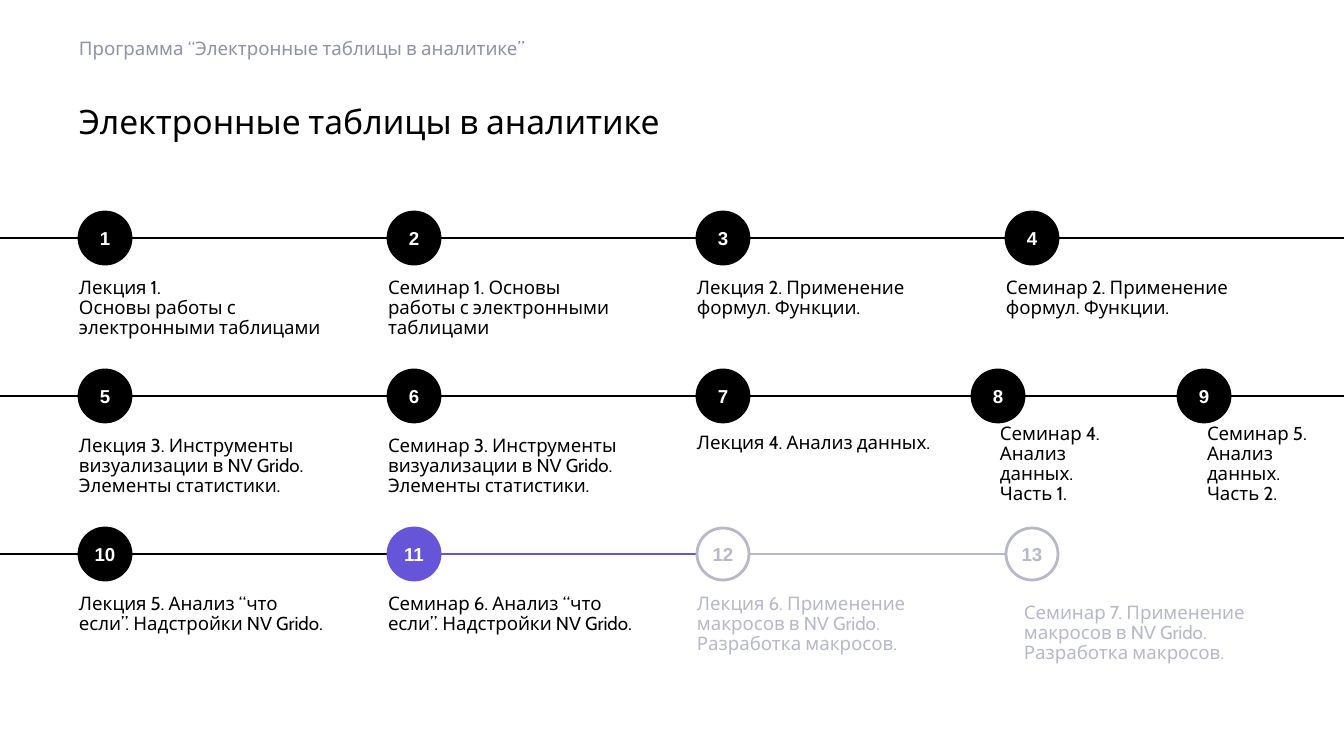
from collections import namedtuple
from dataclasses import dataclass

from pptx import Presentation
from pptx.dml.color import RGBColor as Rgb
from pptx.enum.shapes import MSO_CONNECTOR as Connector, MSO_SHAPE as Preset
from pptx.enum.text import MSO_ANCHOR as Anchor, PP_ALIGN as Align
from pptx.oxml.ns import qn
from pptx.util import Emu, Pt


@dataclass(frozen=True)
class Theme:
    """Colours, fonts and type sizes of the slide."""
    ink: str = "000000"
    paper: str = "FFFFFF"
    accent: str = "6654D9"
    pending: str = "B7B9C8"
    muted: str = "8F93A3"
    text_font: str = "Cabin"
    number_font: str = "Arial"
    body: float = 10
    title: float = 18
    rule: float = 1.5
    leading: float = 0.9


THEME = Theme()
State = namedtuple("State", "fill outline number caption")
DONE = State(THEME.ink, THEME.ink, THEME.paper, THEME.ink)
CURRENT = State(THEME.accent, THEME.accent, THEME.paper, THEME.ink)
PENDING = State(THEME.paper, THEME.pending, THEME.pending, THEME.pending)

Step = namedtuple("Step", "caption state left shift width",
                  defaults=(DONE, None, (0, 0), 257))

WIDTH, HEIGHT = 1344, 756
LEFT, COLUMN_PITCH = 79, 309
TOP, ROW_PITCH = 212, 158
NODE, CAPTION_DROP, CAPTION_HEIGHT = 52, 53, 95
PAD = 13

ROWS = [
    [Step("Лекция 1.\vОсновы работы с электронными таблицами"),
     Step("Семинар 1. Основы работы с электронными таблицами"),
     Step("Лекция 2. Применение формул. Функции."),
     Step("Семинар 2. Применение формул. Функции.")],
    [Step("Лекция 3. Инструменты визуализации в NV Grido. Элементы статистики."),
     Step("Семинар 3. Инструменты визуализации в NV Grido. Элементы статистики."),
     Step("Лекция 4. Анализ данных."),
     Step("Семинар 4. Анализ данных. Часть 1.", left=972, shift=(28, -12), width=133),
     Step("Семинар 5. Анализ данных. Часть 2.", left=1178, shift=(29, -12), width=117)],
    [Step("Лекция 5. Анализ “что если”. Надстройки NV Grido."),
     Step("Семинар 6. Анализ “что если”. Надстройки NV Grido.", CURRENT),
     Step("Лекция 6. Применение макросов в NV Grido. Разработка макросов.", PENDING),
     Step("Семинар 7. Применение макросов в NV Grido. Разработка макросов.",
          PENDING, shift=(18, 9))],
]
OPEN_ENDED_ROWS = (0, 1)


def px(length):
    """Turn slide pixels into EMU."""
    return Emu(round(length * 914400 / 134.4))


def apply_format(target, **values):
    """Set each named attribute on the target."""
    for name, value in values.items():
        setattr(target, name, value)


def write_text(shape, text, color, size, font, bold=False, insets=(0, 0, 0, 0),
               anchor=Anchor.TOP, align=Align.LEFT, leading=1.0):
    """Fill a shape with one formatted paragraph."""
    left, top, right, bottom = map(px, insets)
    frame = shape.text_frame
    apply_format(frame, text=text, word_wrap=True, vertical_anchor=anchor,
                 margin_left=left, margin_top=top,
                 margin_right=right, margin_bottom=bottom)
    paragraph = frame.paragraphs[0]
    apply_format(paragraph, alignment=align, line_spacing=leading)
    for run in paragraph.runs:
        apply_format(run.font, name=font, size=Pt(size), bold=bold)
        run.font.color.rgb = Rgb.from_string(color)


def add_label(slide, text, box, color=THEME.ink, size=THEME.body, **layout):
    """Add a text box in the text font."""
    label = slide.shapes.add_textbox(*map(px, box))
    write_text(label, text, color, size, THEME.text_font,
               leading=THEME.leading, **layout)


def add_node(slide, number, left, top, state):
    """Add a numbered circle of the timeline."""
    node = slide.shapes.add_shape(Preset.OVAL, *map(px, (left, top, NODE, NODE)))
    node.shadow.inherit = False
    node.fill.solid()
    node.fill.fore_color.rgb = Rgb.from_string(state.fill)
    node.line.color.rgb = Rgb.from_string(state.outline)
    node.line.width = Pt(THEME.rule)
    write_text(node, str(number), state.number, THEME.body, THEME.number_font,
               bold=True, anchor=Anchor.MIDDLE, align=Align.CENTER)


def add_link(slide, start, end, y, color):
    """Add a horizontal stretch of the timeline."""
    link = slide.shapes.add_connector(Connector.STRAIGHT, *map(px, (start, y, end, y)))
    link.line.color.rgb = Rgb.from_string(color)
    link.line.width = Pt(THEME.rule)
    properties = link._element.spPr
    properties.append(properties.makeelement(qn("a:effectLst"), {}))


def add_row(slide, steps, first_number, top, open_ended):
    """Add one row of links, nodes and captions."""
    lefts = [LEFT + column * COLUMN_PITCH if step.left is None else step.left
             for column, step in enumerate(steps)]
    middle = top + NODE // 2
    add_link(slide, 0, lefts[0], middle, steps[0].state.outline)
    ends = lefts[1:] + [WIDTH] * open_ended
    for step, left, end in zip(steps, lefts, ends):
        add_link(slide, left + NODE, end, middle, step.state.outline)
    for number, (step, left) in enumerate(zip(steps, lefts), first_number):
        add_node(slide, number, left, top, step.state)
        across, down = step.shift
        box = (left + across, top + CAPTION_DROP + down, step.width, CAPTION_HEIGHT)
        add_label(slide, step.caption, box, step.state.caption,
                  insets=(0, PAD, PAD, PAD))


def main():
    """Build and save the course timeline."""
    deck = Presentation()
    apply_format(deck, slide_width=px(WIDTH), slide_height=px(HEIGHT))
    slide = deck.slides.add_slide(deck.slide_layouts[6])
    add_label(slide, "Программа “Электронные таблицы в аналитике”",
              (LEFT, 23, 1185, 52), THEME.muted, anchor=Anchor.MIDDLE,
              insets=(0, 5, 0, 5))
    add_label(slide, "Электронные таблицы в аналитике",
              (LEFT, 106, 1185, 47), size=THEME.title)
    first_number = 1
    for index, steps in enumerate(ROWS):
        add_row(slide, steps, first_number, TOP + index * ROW_PITCH,
                index in OPEN_ENDED_ROWS)
        first_number += len(steps)
    deck.save("out.pptx")


if __name__ == "__main__":
    main()
